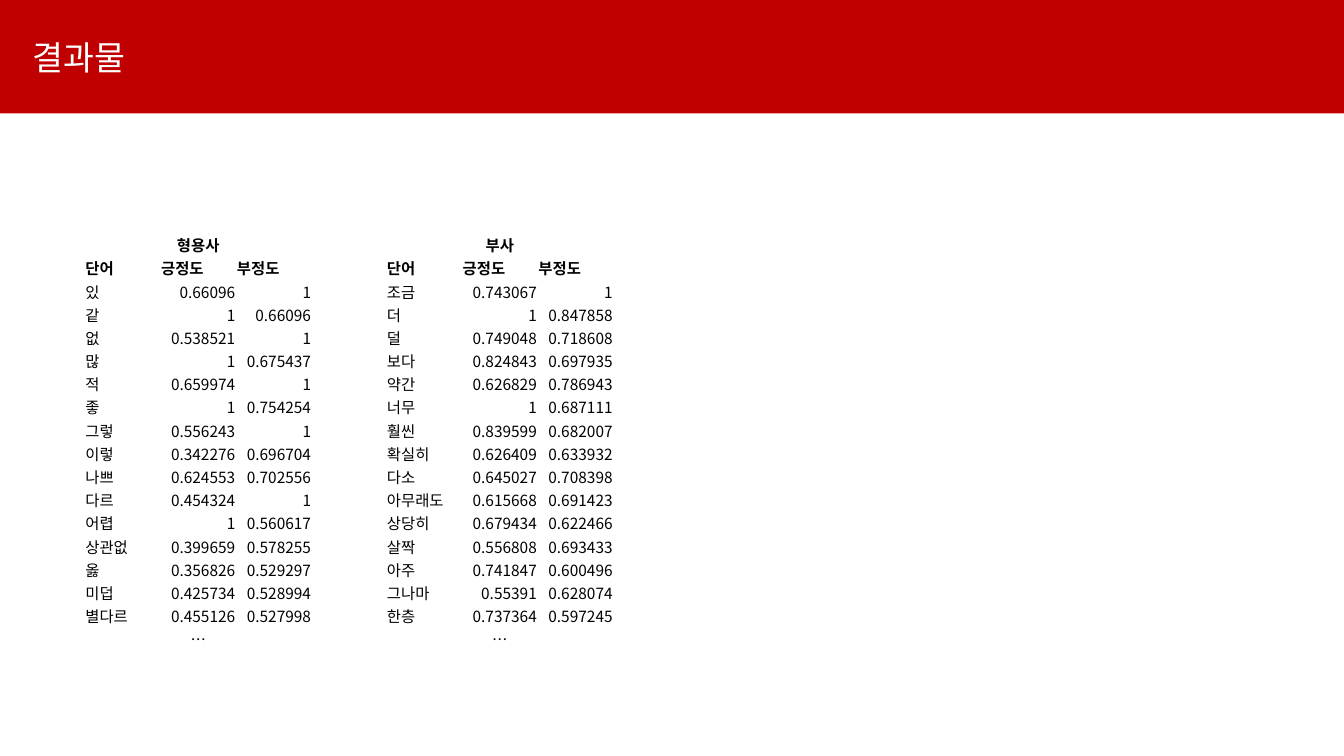
from lxml import etree
from pptx import Presentation
from pptx import util as u
from pptx.dml.color import RGBColor
from pptx.enum import shapes, text
from pptx.oxml.ns import qn

FONT = "Noto Sans CJK KR"
COLORS = {"banner": "C00000", "title": "FFFFFF", "text": "000000"}
TABLE_TOP, COLUMN_WIDTH, ROW_HEIGHT = 5.87, 1.91, 0.58
CELL_SIZE = 11
HEADINGS = ("단어", "긍정도", "부정도")
ALIGN = text.PP_ALIGN

ADJECTIVES = [
    ("있", "0.66096", "1"),
    ("같", "1", "0.66096"),
    ("없", "0.538521", "1"),
    ("많", "1", "0.675437"),
    ("적", "0.659974", "1"),
    ("좋", "1", "0.754254"),
    ("그렇", "0.556243", "1"),
    ("이렇", "0.342276", "0.696704"),
    ("나쁘", "0.624553", "0.702556"),
    ("다르", "0.454324", "1"),
    ("어렵", "1", "0.560617"),
    ("상관없", "0.399659", "0.578255"),
    ("옳", "0.356826", "0.529297"),
    ("미덥", "0.425734", "0.528994"),
    ("별다르", "0.455126", "0.527998"),
]
ADVERBS = [
    ("조금", "0.743067", "1"),
    ("더", "1", "0.847858"),
    ("덜", "0.749048", "0.718608"),
    ("보다", "0.824843", "0.697935"),
    ("약간", "0.626829", "0.786943"),
    ("너무", "1", "0.687111"),
    ("훨씬", "0.839599", "0.682007"),
    ("확실히", "0.626409", "0.633932"),
    ("다소", "0.645027", "0.708398"),
    ("아무래도", "0.615668", "0.691423"),
    ("상당히", "0.679434", "0.622466"),
    ("살짝", "0.556808", "0.693433"),
    ("아주", "0.741847", "0.600496"),
    ("그나마", "0.55391", "0.628074"),
    ("한층", "0.737364", "0.597245"),
]


def add_run(paragraph, words, size, color, bold=False):
    run = paragraph.add_run()
    run.text = words
    run.font.size = u.Pt(size)
    run.font.bold = bold
    run.font.color.rgb = RGBColor.from_string(COLORS[color])
    run.font.name = FONT
    # Hangul takes the East Asian typeface
    etree.SubElement(run.font._element, qn("a:ea"), typeface=FONT)


def add_banner(slide, width, title):
    banner = slide.shapes.add_shape(
        shapes.MSO_SHAPE.RECTANGLE, 0, 0, width, u.Cm(2.86))
    banner.shadow.inherit = False
    banner.fill.solid()
    banner.fill.fore_color.rgb = RGBColor.from_string(COLORS["banner"])
    banner.line.fill.background()
    frame = banner.text_frame
    frame.vertical_anchor = text.MSO_ANCHOR.MIDDLE
    frame.margin_left = u.Cm(0.82)
    paragraph = frame.paragraphs[0]
    paragraph.alignment = ALIGN.LEFT
    add_run(paragraph, title, 24, "title")


def fill_cell(cell, words, alignment, bold):
    cell.fill.background()
    cell.vertical_anchor = text.MSO_ANCHOR.MIDDLE
    cell.margin_left = cell.margin_right = cell.margin_top = u.Cm(0.02)
    cell.margin_bottom = 0
    paragraph = cell.text_frame.paragraphs[0]
    paragraph.alignment = alignment
    if words:
        add_run(paragraph, words, CELL_SIZE, "text", bold)
    else:
        # An empty cell must not stretch its row
        paragraph._p.get_or_add_endParaRPr().set("sz", str(CELL_SIZE * 100))


def add_word_table(slide, left, word_class, words):
    rows = [("", word_class, ""), HEADINGS, *words, ("", "…", "")]
    columns = len(HEADINGS)
    table = slide.shapes.add_table(
        len(rows), columns, u.Cm(left), u.Cm(TABLE_TOP),
        u.Cm(COLUMN_WIDTH * columns), u.Cm(ROW_HEIGHT * len(rows))).table
    table.first_row = table.horz_banding = False
    for column in table.columns:
        column.width = u.Cm(COLUMN_WIDTH)
    for r, row in enumerate(rows):
        table.rows[r].height = u.Cm(ROW_HEIGHT)
        for c, words_in_cell in enumerate(row):
            if r in (0, len(rows) - 1):
                alignment = ALIGN.CENTER
            elif r == 1 or c == 0:
                alignment = ALIGN.LEFT
            else:
                alignment = ALIGN.RIGHT
            fill_cell(table.cell(r, c), words_in_cell, alignment, r < 2)


def main():
    presentation = Presentation()
    presentation.slide_width = u.Cm(33.87)
    presentation.slide_height = u.Cm(19.05)
    slide = presentation.slides.add_slide(presentation.slide_layouts[6])

    # Title banner
    add_banner(slide, presentation.slide_width, "결과물")

    # Word polarity tables
    add_word_table(slide, 2.13, "형용사", ADJECTIVES)
    add_word_table(slide, 9.73, "부사", ADVERBS)

    presentation.save("out.pptx")


if __name__ == "__main__":
    main()
